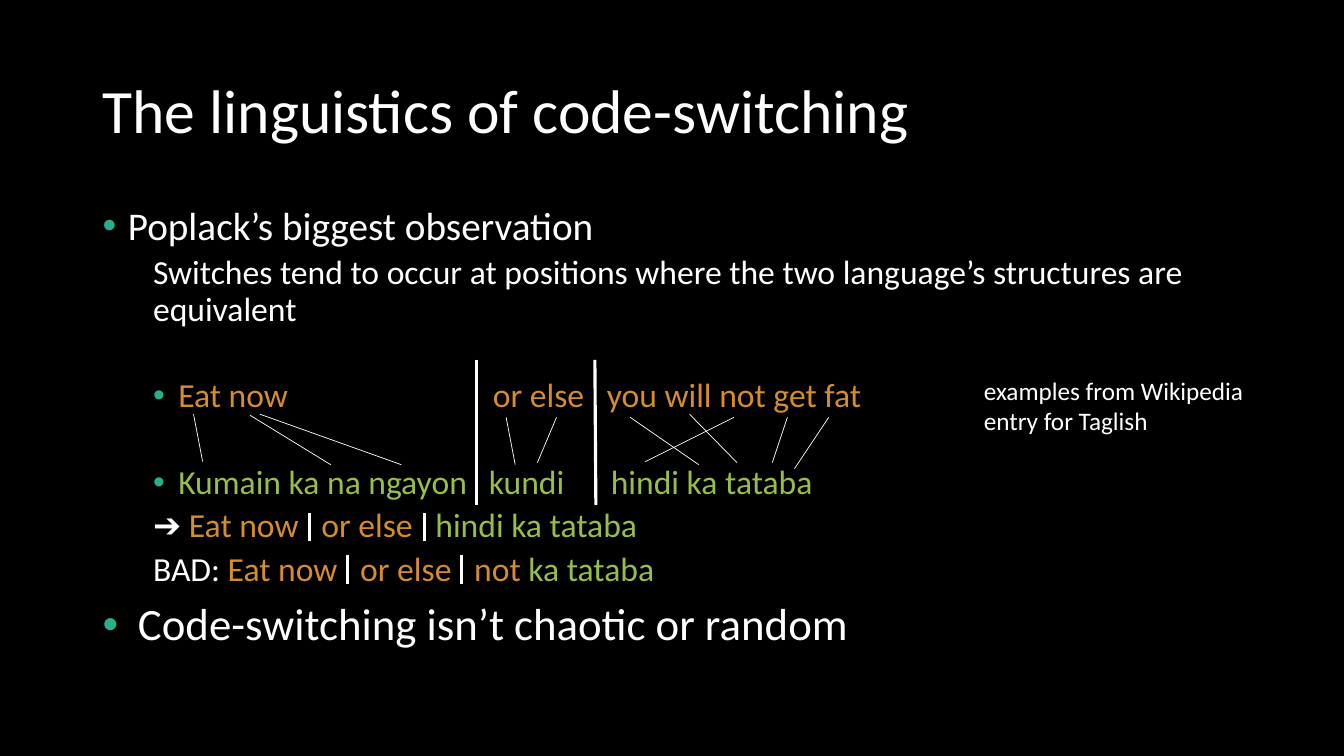
from lxml import etree
from pptx import Presentation
from pptx.dml.color import RGBColor
from pptx.enum import shapes, text
from pptx.oxml import ns
from pptx.util import Inches, Pt

BLACK = RGBColor(0x00, 0x00, 0x00)
WHITE = RGBColor(0xFF, 0xFF, 0xFF)
TEAL = RGBColor(0x29, 0xAF, 0x8C)
ENGLISH = RGBColor(0xD5, 0x8C, 0x2E)
TAGALOG = RGBColor(0x97, 0xBE, 0x49)

# Content: each paragraph holds (text, colour, tracking in points) runs;
# tabs are inches from the text edge
SWITCH_GAP = (" ", ENGLISH, 10.8)
TITLE = [dict(runs=[("The linguistics of code-switching", WHITE)], size=44, spacing=0.9)]
SOURCE_NOTE = [dict(runs=[("examples from Wikipedia entry for Taglish", WHITE)], size=18)]
TOP = dict(left=0.25, hang=0.25, bullet=True, spacing=0.9)
EXAMPLE = dict(left=0.75, hang=0.25, bullet=True, before=36, size=24, spacing=0.9)
PLAIN = dict(left=0.5, before=5, size=24, spacing=0.9)
BODY = [
    dict(TOP, runs=[("Poplack’s biggest observation", WHITE)], size=28),
    dict(PLAIN, runs=[("Switches tend to occur at positions where the two "
                       "language’s structures are equivalent", WHITE)]),
    dict(EXAMPLE, runs=[("Eat now\tor else\tyou will not get fat", ENGLISH)], tabs=(3.87, 5)),
    dict(EXAMPLE, runs=[("Kumain ka na ngayon\tkundi\thindi ka tataba", TAGALOG)],
         tabs=(3.83, 5.04)),
    dict(PLAIN, runs=[("➔ ", WHITE), ("Eat now", ENGLISH), SWITCH_GAP, ("or else", ENGLISH),
                      SWITCH_GAP, ("hindi ka tataba", TAGALOG)]),
    dict(PLAIN, runs=[("BAD: ", WHITE), ("Eat now", ENGLISH), SWITCH_GAP, ("or else", ENGLISH),
                      SWITCH_GAP, ("not ", ENGLISH), ("ka tataba", TAGALOG)]),
    dict(TOP, runs=[(" Code-switching isn’t chaotic or random", WHITE)], size=32, before=10),
]

# Lines: (x1, y1, x2, y2)
SWITCH_POINTS = [(4.73, 3.57, 4.73, 5.01), (5.9, 3.57, 5.91, 5.01)]
SWITCH_POINTS += [(x, y, x, y + 0.28)
                  for x, y in ((3.07, 5.09), (4.21, 5.09), (3.45, 5.51), (4.58, 5.51))]
WORD_LINKS = [
    (1.92, 4.11, 2.01, 4.58), (2.48, 4.12, 3.28, 4.61), (2.58, 4.11, 3.98, 4.61),
    (5.02, 4.14, 5.11, 4.61), (5.52, 4.14, 5.33, 4.59), (6.25, 4.14, 6.93, 4.61),
    (6.84, 4.11, 7.31, 4.59), (7.28, 4.14, 6.4, 4.58), (7.81, 4.14, 7.66, 4.59),
    (8.22, 4.14, 7.88, 4.65),
]

deck = Presentation()
deck.slide_width, deck.slide_height = Inches(13.33), Inches(7.5)
slide = deck.slides.add_slide(deck.slide_layouts[6])
slide.background.fill.solid()
slide.background.fill.fore_color.rgb = BLACK


def add_element(parent, tag, **attributes):
    return etree.SubElement(parent, ns.qn(tag), attributes)


def write(paragraph, runs, size, left=0, hang=0, bullet=False, tabs=(), before=0, spacing=1.0):
    properties = paragraph._p.get_or_add_pPr()
    properties.set("marL", str(Inches(left)))
    properties.set("indent", str(-Inches(hang)))
    if bullet:
        add_element(add_element(properties, "a:buClr"), "a:srgbClr", val=str(TEAL))
        add_element(properties, "a:buFont", typeface="Arial")
        add_element(properties, "a:buChar", char="•")
    if tabs:
        stops = add_element(properties, "a:tabLst")
        for position in tabs:
            add_element(stops, "a:tab", pos=str(Inches(position)), algn="l")
    paragraph.line_spacing = spacing
    paragraph.space_before = Pt(before)
    for words, colour, *tracking in runs:
        run = paragraph.add_run()
        run.text = words
        run.font.name, run.font.size = "Calibri", Pt(size)
        run.font.color.rgb = colour
        if tracking:
            run._r.get_or_add_rPr().set("spc", str(round(tracking[0] * 100)))


def add_text(paragraphs, box, anchor=text.MSO_ANCHOR.TOP):
    frame = slide.shapes.add_textbox(*map(Inches, box)).text_frame
    frame.word_wrap = True
    frame.vertical_anchor = anchor
    for number, content in enumerate(paragraphs):
        write(frame.add_paragraph() if number else frame.paragraphs[0], **content)


def add_lines(ends, width):
    for points in ends:
        line = slide.shapes.add_connector(shapes.MSO_CONNECTOR.STRAIGHT, *map(Inches, points))
        line.line.color.rgb = WHITE
        line.line.width = Pt(width)
        add_element(line._element.spPr, "a:effectLst")


# Text
add_text(TITLE, (0.92, 0.4, 11.5, 1.45), text.MSO_ANCHOR.MIDDLE)
add_text(BODY, (0.92, 2, 11.5, 4.76))
add_text(SOURCE_NOTE, (9.66, 3.67, 3.32, 0.71))

# Switch points and word alignments
add_lines(SWITCH_POINTS, 2.25)
add_lines(WORD_LINKS, 0.5)

deck.save("out.pptx")
